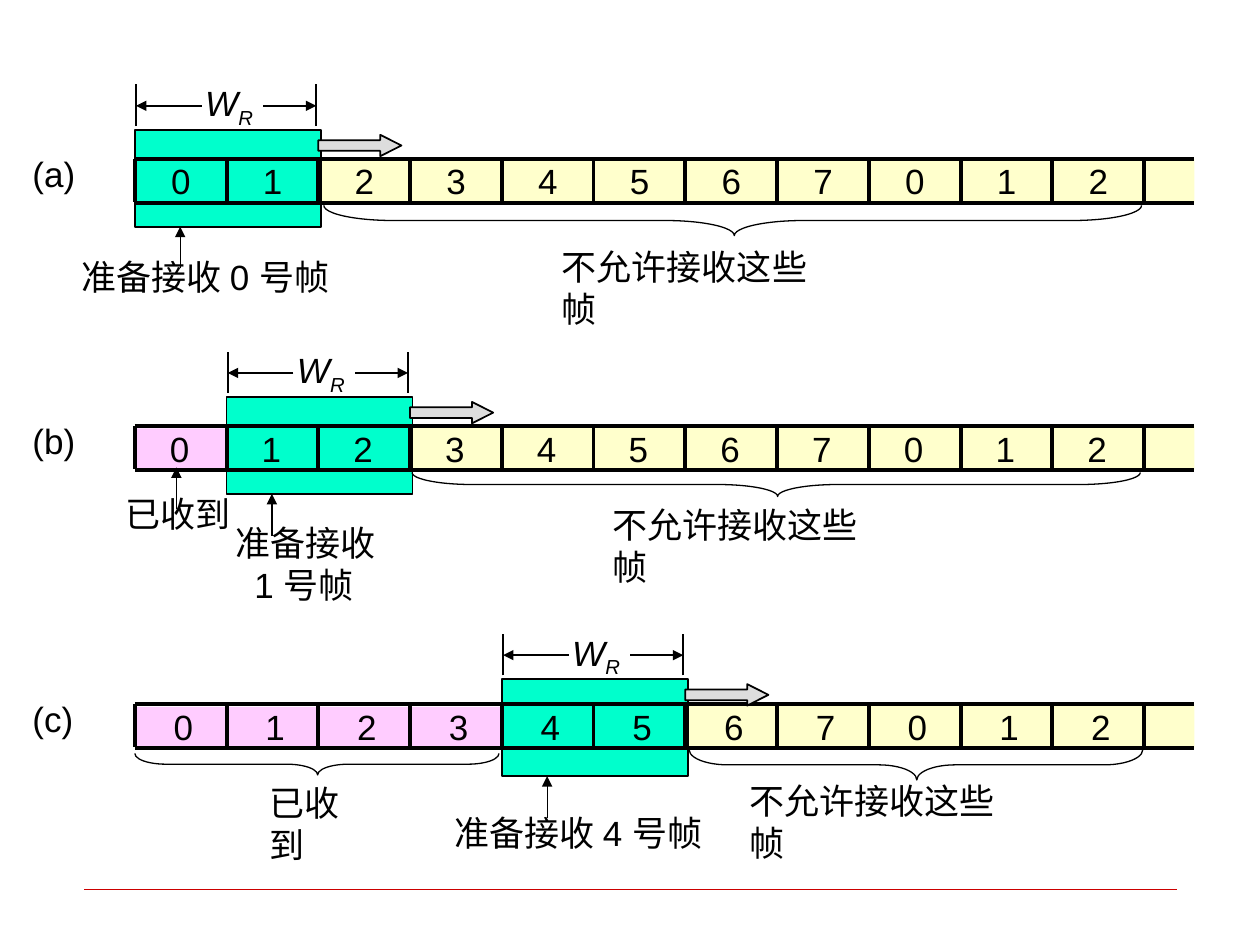
from dataclasses import dataclass

from lxml.etree import SubElement
from pptx import Presentation
from pptx.dml.color import RGBColor
from pptx.enum.shapes import MSO_CONNECTOR, MSO_SHAPE
from pptx.enum.text import MSO_AUTO_SIZE
from pptx.oxml.ns import qn
from pptx.util import Inches, Pt

BLACK, YELLOW, GREEN, PINK, GREY = "000000", "FFFFCC", "00FFCC", "FFCCFF", "DDDDDD"
FRAMES = "01234567012"
STRIP_LEFT, STRIP_RIGHT, STRIP_HEIGHT = 1.07, 9.48, 0.35
PITCH = (9.08 - STRIP_LEFT) / len(FRAMES)


@dataclass
class Row:
    name: str
    top: float         # upper edge of the frame strip
    window_top: float  # upper edge of the receive window
    first: int         # number of the first frame in the window
    digit_shift: float


ROWS = [
    Row("(a)", 1.26, 1.03, 0, 0.19),
    Row("(b)", 3.38, 3.15, 1, 0.18),
    Row("(c)", 5.59, 5.39, 4, 0.21),
]


def color(value):
    return RGBColor.from_string(value)


def cell_edge(index):
    return STRIP_LEFT + PITCH * index


def add_line(slide, start, end, width, arrow=False, stroke=BLACK):
    line = slide.shapes.add_connector(
        MSO_CONNECTOR.STRAIGHT, *(Inches(value) for value in (*start, *end)))
    line.line.color.rgb = color(stroke)
    line.line.width = Pt(width)
    properties = line._element.spPr
    if arrow:
        SubElement(properties.find(qn("a:ln")), qn("a:tailEnd"), type="triangle")
    SubElement(properties, qn("a:effectLst"))


def add_shape(slide, kind, left, top, width, height, fill=None, stroke=None):
    shape = slide.shapes.add_shape(
        kind, *(Inches(value) for value in (left, top, width, height)))
    shape.shadow.inherit = False
    if fill:
        shape.fill.solid()
        shape.fill.fore_color.rgb = color(fill)
    else:
        shape.fill.background()
    if stroke:
        shape.line.color.rgb = color(BLACK)
        shape.line.width = Pt(stroke)
    else:
        shape.line.fill.background()
    return shape


def add_brace(slide, left, top, length, depth, curve):
    # A left brace turned to point down keeps its centre
    brace = add_shape(slide, MSO_SHAPE.LEFT_BRACE,
                      left + (length - depth) / 2, top + (depth - length) / 2,
                      depth, length, stroke=0.75)
    brace.rotation = 270
    brace.adjustments[0] = curve
    brace.adjustments[1] = 0.502


def add_label(slide, text, left, top, width, wrap=False):
    box = slide.shapes.add_textbox(
        Inches(left), Inches(top), Inches(width), Inches(0.43))
    frame = box.text_frame
    frame.text = text
    frame.word_wrap = wrap
    frame.auto_size = MSO_AUTO_SIZE.SHAPE_TO_FIT_TEXT
    for para in frame.paragraphs:
        for span in para.runs:
            format_span(span)
    return frame


def format_span(span):
    span.font.size = Pt(20)
    span.font.name = "Arial"
    span.font.color.rgb = color(BLACK)


def add_window_size(slide, left, window_top):
    # Dimension bars, arrows and the symbol W with subscript R
    right, middle = left + 1.43, window_top - 0.19
    for x in (left, right):
        add_line(slide, (x, window_top - 0.03), (x, window_top - 0.36), 1)
    add_line(slide, (left + 0.52, middle), (left, middle), 1, arrow=True)
    add_line(slide, (right - 0.42, middle), (right, middle), 1, arrow=True)
    para = add_label(slide, "W", left + 0.45, window_top - 0.43, 0.59).paragraphs[0]
    subscript = para.add_run()
    subscript.text = "R"
    format_span(subscript)
    subscript._r.get_or_add_rPr().set("baseline", "-25000")
    for span in para.runs:
        span.font.italic = True


def add_row(slide, row):
    left, right = cell_edge(row.first), cell_edge(row.first + 2)
    bottom = row.top + STRIP_HEIGHT

    # Refused frames, receive window and received frames
    add_shape(slide, MSO_SHAPE.RECTANGLE, right, row.top,
              STRIP_RIGHT - right, STRIP_HEIGHT, YELLOW)
    add_shape(slide, MSO_SHAPE.RECTANGLE, left, row.window_top,
              right - left + 0.02, 0.77, GREEN, 1)
    if row.first:
        add_shape(slide, MSO_SHAPE.RECTANGLE, STRIP_LEFT, row.top + 0.02,
                  left - STRIP_LEFT, STRIP_HEIGHT - 0.03, PINK)

    # Strip outline, cell borders and frame numbers
    for y in (row.top, bottom):
        add_line(slide, (STRIP_LEFT, y), (STRIP_RIGHT, y), 2.25)
    for index in range(len(FRAMES) + 1):
        x = cell_edge(index)
        add_line(slide, (x, row.top), (x, bottom - 0.01), 2.25)
    for index, number in enumerate(FRAMES):
        add_label(slide, number, cell_edge(index) + row.digit_shift,
                  row.top - 0.04, 0.36, wrap=True)

    # Direction arrow, window size and pointer to the expected frame
    block = add_shape(slide, MSO_SHAPE.RIGHT_ARROW, right, row.window_top + 0.04,
                      0.66, 0.17, GREY, 1)
    block.adjustments[0] = 0.5
    block.adjustments[1] = 0.987
    add_window_size(slide, left + 0.01, row.window_top)
    pointer = left + 0.36
    add_line(slide, (pointer, row.window_top + 1.1),
             (pointer, row.window_top + 0.77), 0.75, arrow=True)
    add_label(slide, row.name, 0.16, row.top - 0.1, 0.54)


def add_notes(slide):
    refused, received = "不允许接收这些帧", "已收到"

    # Row (a)
    add_brace(slide, 2.57, 1.63, 6.49, 0.24, 2.29)
    add_label(slide, refused, 4.36, 1.9, 2.42)
    add_label(slide, "准备接收 0 号帧", 0.55, 1.98, 2.18, wrap=True)

    # Row (b)
    add_brace(slide, 3.27, 3.75, 5.78, 0.19, 2.52)
    add_label(slide, refused, 4.76, 3.95, 2.42)
    add_label(slide, received, 0.9, 3.86, 1.04)
    add_line(slide, (1.4, 4.04), (1.4, 3.71), 0.75, arrow=True)
    expected = add_label(slide, "准备接收\n1 号帧", 1.77, 4.09, 1.31)
    expected.paragraphs[1]._p.get_or_add_pPr().set("marL", str(Inches(0.15)))

    # Row (c)
    add_brace(slide, 5.47, 5.95, 3.6, 0.24, 1.27)
    add_label(slide, refused, 5.85, 6.14, 2.4, wrap=True)
    add_brace(slide, 1.07, 5.98, 2.89, 0.17, 1.44)
    add_label(slide, received, 2.04, 6.15, 1.03)
    add_label(slide, "准备接收 4 号帧", 3.51, 6.39, 2.18, wrap=True)


def main():
    deck = Presentation()
    deck.slide_width, deck.slide_height = Inches(10), Inches(7.5)
    slide = deck.slides.add_slide(deck.slide_layouts[6])
    add_line(slide, (0.67, 7.06), (9.34, 7.06), 0.25, stroke="CC0000")
    for row in ROWS:
        add_row(slide, row)
    add_notes(slide)
    deck.save("out.pptx")


if __name__ == "__main__":
    main()
